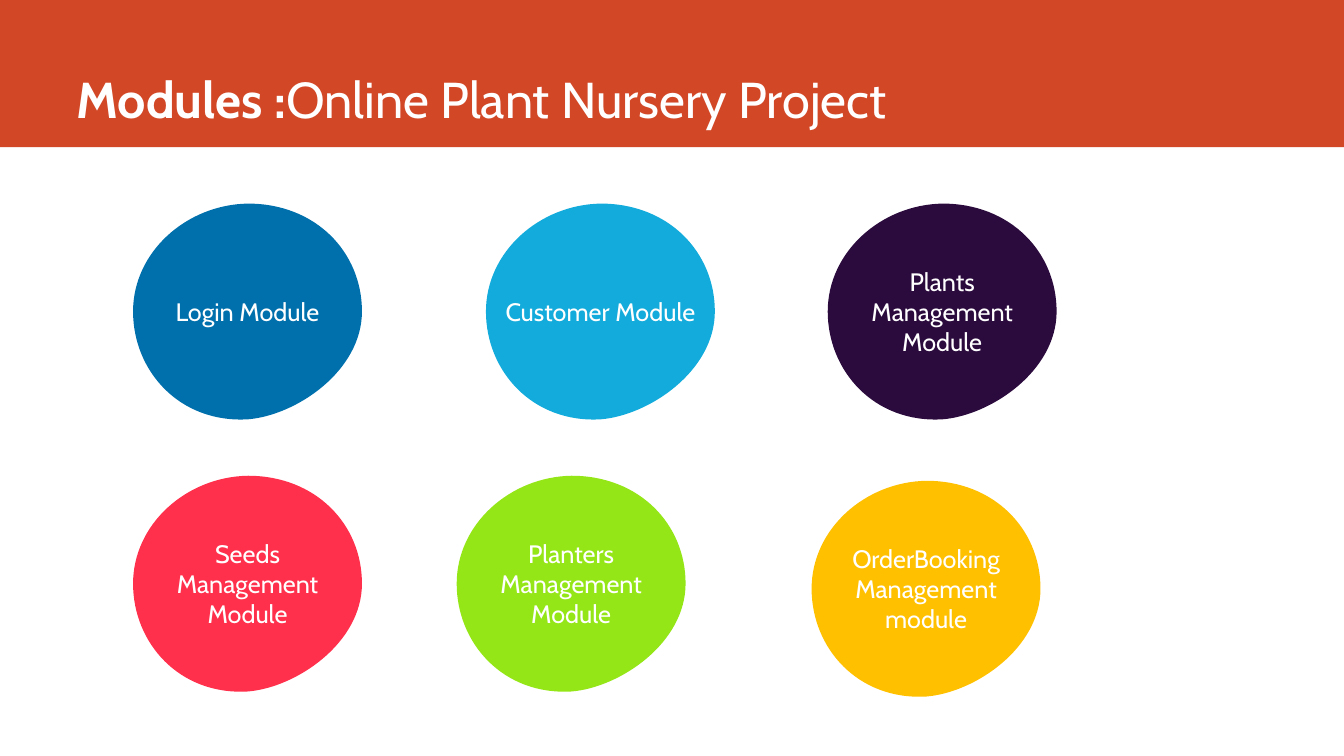
from lxml import etree
from pptx import Presentation
from pptx.dml.color import RGBColor
from pptx.enum.shapes import MSO_SHAPE
from pptx.enum.text import MSO_ANCHOR, PP_ALIGN
from pptx.oxml.ns import qn
from pptx.util import Inches, Pt

RECTANGLE = MSO_SHAPE.RECTANGLE
MIDDLE, BOTTOM = MSO_ANCHOR.MIDDLE, MSO_ANCHOR.BOTTOM
LEFT, CENTER = PP_ALIGN.LEFT, PP_ALIGN.CENTER

WHITE = RGBColor(0xFF, 0xFF, 0xFF)
ORANGE = RGBColor(0xD2, 0x47, 0x26)
BLUE = RGBColor(0x00, 0x70, 0xAD)
CYAN = RGBColor(0x12, 0xAB, 0xDB)
PURPLE = RGBColor(0x2B, 0x0A, 0x3D)
RED = RGBColor(0xFF, 0x30, 0x4C)
GREEN = RGBColor(0x95, 0xE6, 0x16)
YELLOW = RGBColor(0xFF, 0xC0, 0x00)

FONT = "Cabin"

# Blob outline in hundredths of an inch from its top left corner:
# start, then Bezier curves as two control points and an end.
BLOB_START = (0, 107)
BLOB_CURVES = [
    ((0, 48), (53, 1), (114, 0)),
    ((181, 0), (227, 48), (227, 107)),
    ((227, 166), (162, 210), (114, 214)),
    ((46, 218), (0, 166), (0, 107)),
]


def write_text(shape, paragraphs, size, align, anchor):
    """Fill a shape with paragraphs, each a list of (text, bold) runs."""
    frame = shape.text_frame
    frame.word_wrap = True
    frame.vertical_anchor = anchor
    for index, runs in enumerate(paragraphs):
        paragraph = frame.add_paragraph() if index else frame.paragraphs[0]
        paragraph.alignment = align
        for text, bold in runs:
            run = paragraph.add_run()
            run.text = text
            run.font.name = FONT
            run.font.size = Pt(size)
            run.font.bold = bold
            run.font.color.rgb = WHITE


def paint(shape, color):
    shape.shadow.inherit = False
    shape.fill.solid()
    shape.fill.fore_color.rgb = color
    shape.line.fill.background()


presentation = Presentation()
presentation.slide_width = Inches(13.33)
presentation.slide_height = Inches(7.5)
slide = presentation.slides.add_slide(presentation.slide_layouts[6])
shapes = slide.shapes

banner = shapes.add_shape(RECTANGLE, 0, 0, presentation.slide_width, Inches(1.46))
paint(banner, ORANGE)

title = shapes.add_textbox(Inches(0.66), 0, Inches(11.76), Inches(1.32))
write_text(title, [[("Modules :", True), ("Online Plant Nursery Project", False)]],
           size=36, align=LEFT, anchor=BOTTOM)

modules = [
    (1.32, 2.02, BLUE, ["Login Module"]),
    (4.82, 2.02, CYAN, ["Customer Module"]),
    (8.21, 2.02, PURPLE, ["Plants Management Module"]),
    (1.32, 4.72, RED, ["Seeds Management Module"]),
    (4.53, 4.72, GREEN, ["Planters", "Management Module"]),
    (8.05, 4.77, YELLOW, ["OrderBooking Management module"]),
]
for left, top, color, lines in modules:
    builder = shapes.build_freeform(*BLOB_START, scale=Inches(0.01))
    builder.add_line_segments([curve[-1] for curve in BLOB_CURVES], close=True)
    blob = builder.convert_to_shape(Inches(left), Inches(top))

    # Bend each straight segment into its Bezier curve.
    segments = list(blob.element.iter(qn("a:lnTo")))
    for segment, curve in zip(segments, BLOB_CURVES):
        bend = etree.Element(qn("a:cubicBezTo"))
        for x, y in curve:
            etree.SubElement(bend, qn("a:pt"), x=str(x), y=str(y))
        segment.getparent().replace(segment, bend)

    paint(blob, color)
    write_text(blob, [[(line, False)] for line in lines],
               size=18, align=CENTER, anchor=MIDDLE)

presentation.save("out.pptx")
